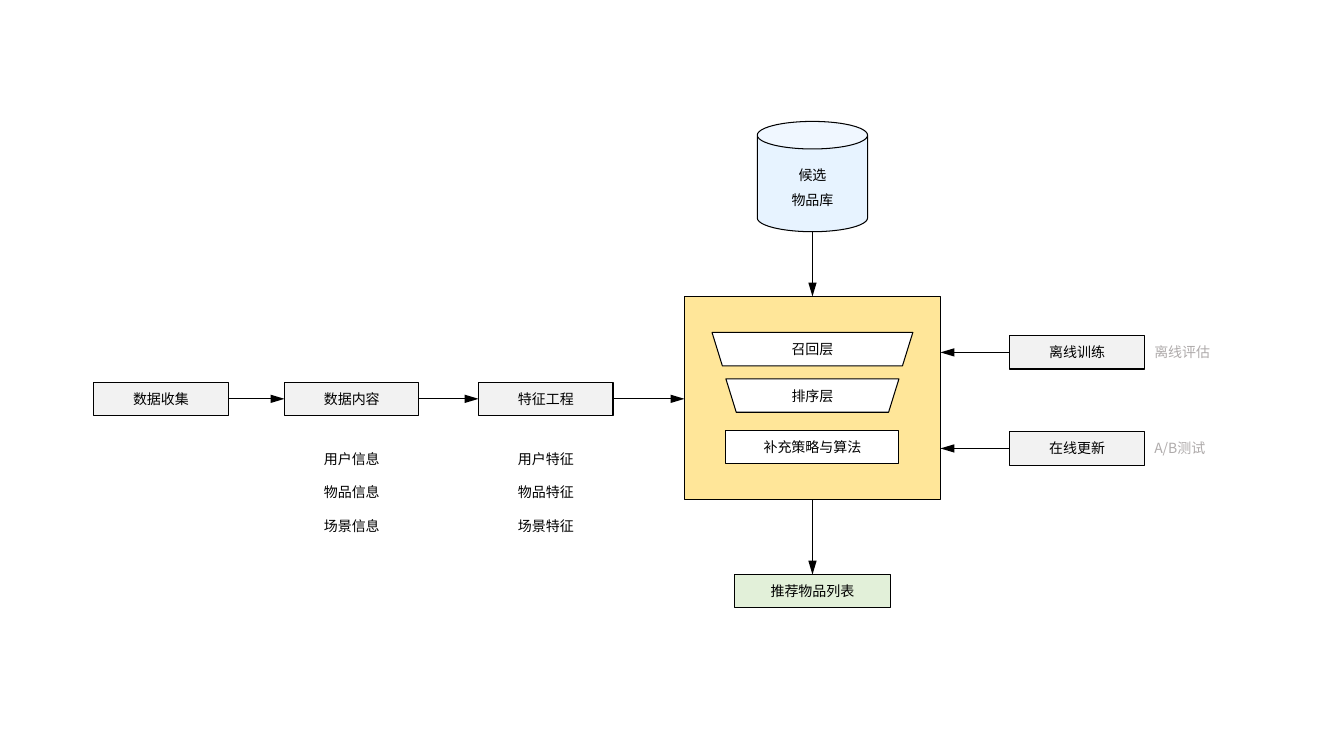
from dataclasses import dataclass

from lxml import etree
from pptx import Presentation
from pptx.dml.color import RGBColor
from pptx.enum.shapes import MSO_CONNECTOR, MSO_SHAPE
from pptx.enum.text import MSO_ANCHOR, PP_ALIGN
from pptx.oxml.ns import qn
from pptx.util import Cm, Pt


@dataclass
class Theme:
    font: str = "Noto Sans CJK SC"
    size: float = 10
    line_width: float = 0.75
    ink: str = "000000"
    muted: str = "AFABAB"
    white: str = "FFFFFF"
    step: str = "F2F2F2"
    engine: str = "FFE699"
    store: str = "E7F3FF"
    result: str = "E2F0D9"


theme = Theme()

prs = Presentation()
prs.slide_width, prs.slide_height = Cm(33.87), Cm(19.05)
slide = prs.slides.add_slide(prs.slide_layouts[6])


def write(shape, lines, color=theme.ink, align=PP_ALIGN.CENTER, spacing=1.0, anchor=MSO_ANCHOR.MIDDLE):
    frame = shape.text_frame
    frame.word_wrap = True
    frame.vertical_anchor = anchor
    frame.margin_left = frame.margin_right = Cm(0.25)
    frame.margin_top = frame.margin_bottom = Cm(0.1)
    frame.text = "\n".join(lines)
    for paragraph in frame.paragraphs:
        paragraph.alignment = align
        paragraph.line_spacing = spacing
        for run in paragraph.runs:
            run.font.size = Pt(theme.size)
            run.font.color.rgb = RGBColor.from_string(color)
            run.font.name = theme.font
            etree.SubElement(run.font._element, qn("a:ea")).set("typeface", theme.font)


def add_block(kind, left, top, width, height, fill, lines=(), spacing=1.0):
    block = slide.shapes.add_shape(kind, Cm(left), Cm(top), Cm(width), Cm(height))
    block.shadow.inherit = False
    block.fill.solid()
    block.fill.fore_color.rgb = RGBColor.from_string(fill)
    block.line.color.rgb = RGBColor.from_string(theme.ink)
    block.line.width = Pt(theme.line_width)
    if lines:
        write(block, lines, spacing=spacing)
    return block


box_w, box_h = 3.39, 0.84
engine_left, engine_top, engine_w, engine_h = 17.25, 7.47, 6.45, 5.12
engine_right, engine_bottom = engine_left + engine_w, engine_top + engine_h
center_x = engine_left + engine_w / 2
arrows = []

add_block(MSO_SHAPE.RECTANGLE, engine_left, engine_top, engine_w, engine_h, theme.engine)

store_top, store_size = 3.06, 2.78
add_block(MSO_SHAPE.CAN, center_x - store_size / 2, store_top, store_size, store_size,
          theme.store, ["候选", "物品库"], 1.5)
arrows.append((center_x, store_top + store_size, center_x, engine_top))

result_top, result_w = 14.48, 3.92
add_block(MSO_SHAPE.RECTANGLE, center_x - result_w / 2, result_top, result_w, box_h,
          theme.result, ["推荐物品列表"])
arrows.append((center_x, engine_bottom, center_x, result_top))

layer_w, label_w, label_h = 4.36, 1.8, 0.7
for name, top, width, slant in [("召回层", 8.38, 5.06, 0.31), ("排序层", 9.55, layer_w, 0.31)]:
    layer = add_block(MSO_SHAPE.TRAPEZOID, center_x - width / 2, top, width, box_h, theme.white)
    layer.adjustments[0] = slant
    layer._element.spPr.find(qn("a:xfrm")).set("flipV", "1")
    label = slide.shapes.add_textbox(Cm(center_x - label_w / 2), Cm(top + (box_h - label_h) / 2),
                                     Cm(label_w), Cm(label_h))
    write(label, [name])
add_block(MSO_SHAPE.RECTANGLE, center_x - layer_w / 2, 10.85, layer_w, box_h,
          theme.white, ["补充策略与算法"])

step_top, list_w = 9.63, 2.13
steps = [
    (2.36, "数据收集", []),
    (7.17, "数据内容", ["用户信息", "物品信息", "场景信息"]),
    (12.06, "特征工程", ["用户特征", "物品特征", "场景特征"]),
]
targets = [left for left, _, _ in steps[1:]] + [engine_left]
for (left, name, details), target in zip(steps, targets):
    add_block(MSO_SHAPE.RECTANGLE, left, step_top, box_w, box_h, theme.step, [name])
    arrows.append((left + box_w, step_top + box_h / 2, target, step_top + box_h / 2))
    if details:
        listing = slide.shapes.add_textbox(Cm(left + (box_w - list_w) / 2), Cm(10.82), Cm(list_w), Cm(2.67))
        write(listing, details, spacing=2.0, anchor=MSO_ANCHOR.TOP)

loop_left, note_w, note_h = 25.45, 2.26, 0.64
for name, note, top in [("离线训练", "离线评估", 8.46), ("在线更新", "A/B测试", 10.88)]:
    middle = top + box_h / 2
    add_block(MSO_SHAPE.RECTANGLE, loop_left, top, box_w, box_h, theme.step, [name])
    arrows.append((loop_left, middle, engine_right, middle))
    remark = slide.shapes.add_textbox(Cm(loop_left + box_w), Cm(middle - note_h / 2), Cm(note_w), Cm(note_h))
    write(remark, [note], theme.muted, PP_ALIGN.LEFT)

for ends in arrows:
    arrow = slide.shapes.add_connector(MSO_CONNECTOR.STRAIGHT, *map(Cm, ends))
    arrow.line.color.rgb = RGBColor.from_string(theme.ink)
    arrow.line.width = Pt(theme.line_width)
    head = etree.SubElement(arrow.line._get_or_add_ln(), qn("a:tailEnd"))
    head.set("type", "triangle")
    head.set("w", "med")
    head.set("len", "lg")
    etree.SubElement(arrow._element.spPr, qn("a:effectLst"))

prs.save("out.pptx")
